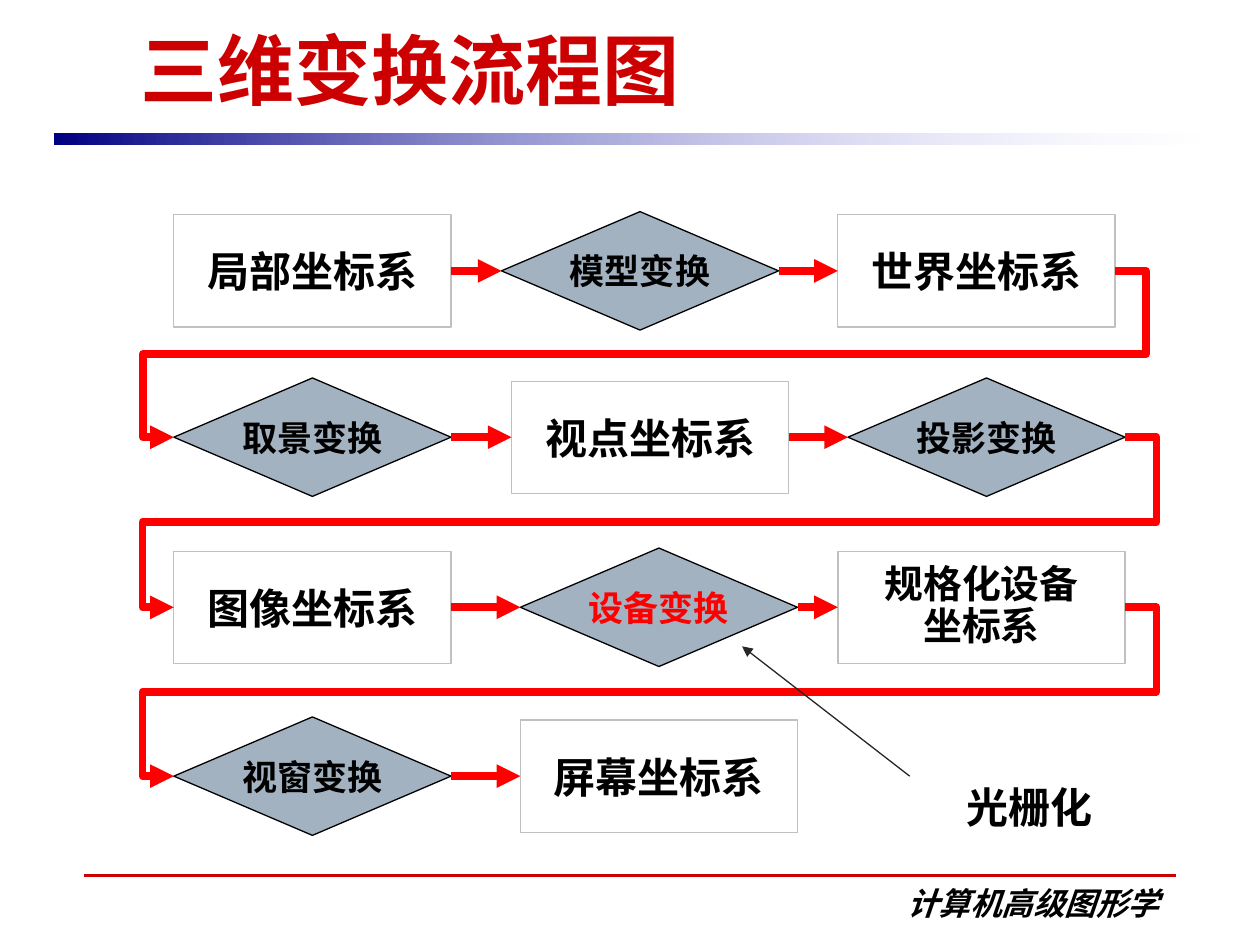
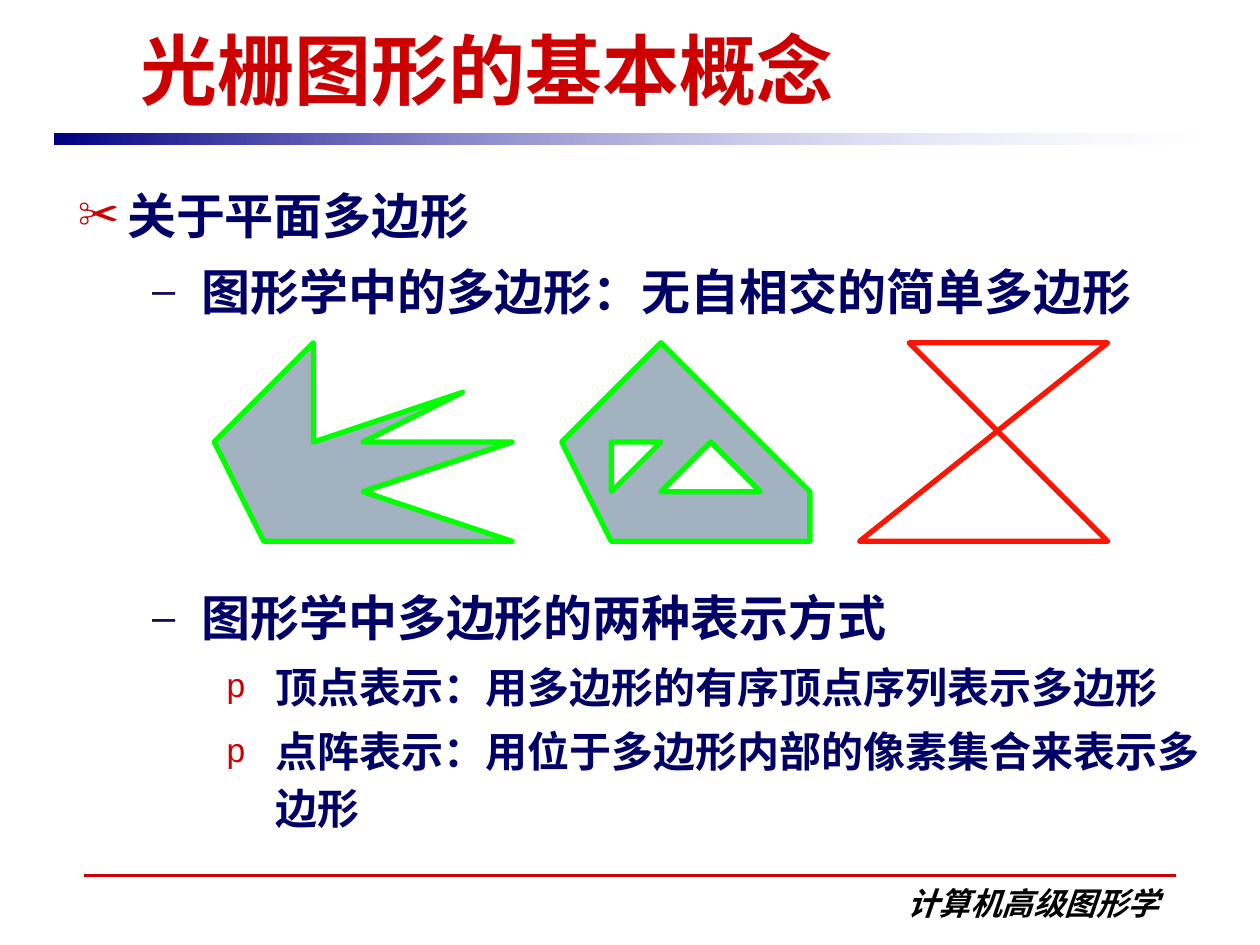
"""Build two slides on 3D transformation flow and raster polygons."""
from lxml import etree
from pptx import Presentation
from pptx.dml.color import RGBColor
from pptx.enum.shapes import MSO_CONNECTOR, MSO_SHAPE
from pptx.enum.text import MSO_ANCHOR, MSO_AUTO_SIZE, PP_ALIGN
from pptx.oxml import parse_xml
from pptx.oxml.ns import qn
from pptx.util import Inches, Pt

RECTANGLE, DECISION = MSO_SHAPE.RECTANGLE, MSO_SHAPE.FLOWCHART_DECISION
STRAIGHT, ELBOW = MSO_CONNECTOR.STRAIGHT, MSO_CONNECTOR.ELBOW
TOP, MIDDLE, BOTTOM = MSO_ANCHOR.TOP, MSO_ANCHOR.MIDDLE, MSO_ANCHOR.BOTTOM
LEFT, CENTER, RIGHT = PP_ALIGN.LEFT, PP_ALIGN.CENTER, PP_ALIGN.RIGHT
GROW = MSO_AUTO_SIZE.SHAPE_TO_FIT_TEXT

SERIF, SANS, CHINESE = "Times New Roman", "Arial", "Noto Sans CJK SC"
DEEP_RED, RED, BLACK, WHITE = "CC0000", "FF0000", "000000", "FFFFFF"
NAVY, STEEL, SILVER, GREEN = "000066", "A3B2C1", "C0C0C0", "00FF00"
NAMESPACE = 'xmlns:a="http://schemas.openxmlformats.org/drawingml/2006/main"'
WIDTH, HEIGHT = 10, 7.5


def colour(value):
    return RGBColor.from_string(value)


def write(text_frame, text, size, font, value, align):
    text_frame.text = text
    for paragraph in text_frame.paragraphs:
        paragraph.alignment = align
        for run in paragraph.runs:
            run.font.name, run.font.size, run.font.bold = font, Pt(size), True
            run.font.color.rgb = colour(value)
            east_asian = etree.SubElement(run._r.get_or_add_rPr(), qn("a:ea"))
            east_asian.set("typeface", CHINESE)


presentation = Presentation()
presentation.slide_width, presentation.slide_height = Inches(WIDTH), Inches(HEIGHT)
blank = presentation.slide_layouts[6]
flow_slide = presentation.slides.add_slide(blank)
polygon_slide = presentation.slides.add_slide(blank)

labels = [(flow_slide, "光栅化", (7.57, 6.15, 1.2, 0.5), 24, SANS, BLACK, LEFT, TOP)]
connectors = []
for slide, title in ((flow_slide, "三维变换流程图"), (polygon_slide, "光栅图形的基本概念")):
    slide.background.fill.solid()
    slide.background.fill.fore_color.rgb = colour(WHITE)
    band = slide.shapes.add_shape(
        RECTANGLE, Inches(0.43), Inches(1.06), Inches(9.14), Inches(0.09))
    band.shadow.inherit = False
    band.line.fill.background()
    band.fill.background()
    no_fill = band._element.spPr.find(qn("a:noFill"))
    no_fill.getparent().replace(no_fill, parse_xml(
        f'<a:gradFill {NAMESPACE} rotWithShape="1"><a:gsLst>'
        '<a:gs pos="0"><a:srgbClr val="000082"/></a:gs>'
        '<a:gs pos="100000"><a:srgbClr val="CCCCFF"><a:alpha val="0"/></a:srgbClr></a:gs>'
        '</a:gsLst><a:lin ang="0" scaled="1"/></a:gradFill>'))
    connectors.append((slide, STRAIGHT, (0.67, 6.95), (9.33, 6.95), DEEP_RED, 1.75, False))
    labels.append((slide, title, (1.02, 0.13, 8.35, 0.83), 44, SERIF, DEEP_RED, LEFT, BOTTOM))
    labels.append((slide, "计算机高级图形学", (6.58, 6.97, 2.72, 0.4), 18, CHINESE,
                   BLACK, RIGHT, TOP))

for slide, text, box, size, font, value, align, anchor in labels:
    text_frame = slide.shapes.add_textbox(*map(Inches, box)).text_frame
    text_frame.word_wrap = True
    text_frame.auto_size = GROW
    text_frame.vertical_anchor = anchor
    write(text_frame, text, size, font, value, align)
    text_frame.paragraphs[0].runs[0].font.italic = align == RIGHT

ROW_CENTERS = [2.15, 3.47, 4.82, 6.16]
FIRST_LEFT, NODE_WIDTH, LEAD = 1.38, 2.2, 0.25
flow_rows = [
    [("局部坐标系", FIRST_LEFT), ("模型变换", 3.98), ("世界坐标系", 6.65)],
    [("取景变换", FIRST_LEFT), ("视点坐标系", 4.06), ("投影变换", 6.73)],
    [("图像坐标系", FIRST_LEFT), ("设备变换", 4.13), ("规格化设备\n坐标系", 6.65)],
    [("视窗变换", FIRST_LEFT), ("屏幕坐标系", 4.13)],
]
for row, (center, nodes) in enumerate(zip(ROW_CENTERS, flow_rows)):
    previous_right = None
    for text, left in nodes:
        is_transform = text.endswith("变换")
        two_lines = "\n" in text
        width = 2.28 if two_lines else NODE_WIDTH
        height = 0.94 if is_transform else 0.89
        node = flow_slide.shapes.add_shape(
            DECISION if is_transform else RECTANGLE,
            Inches(left), Inches(center - height / 2), Inches(width), Inches(height))
        node.shadow.inherit = False
        node.line.width = Pt(0.75)
        node.line.color.rgb = colour(BLACK if is_transform else SILVER)
        if is_transform:
            node.fill.solid()
            node.fill.fore_color.rgb = colour(STEEL)
        else:
            node.fill.background()
        text_frame = node.text_frame
        text_frame.margin_left = text_frame.margin_right = 0
        text_frame.word_wrap = not is_transform
        text_frame.vertical_anchor = MIDDLE
        size = 20 if is_transform else 22.2 if two_lines else 24
        write(text_frame, text, size, SANS if is_transform else SERIF,
              RED if text == "设备变换" else BLACK, CENTER)
        if two_lines:
            for paragraph in text_frame.paragraphs:
                paragraph.line_spacing = 0.9
        if previous_right:
            connectors.append((flow_slide, STRAIGHT, (previous_right, center),
                               (left, center), RED, 4.5, True))
        previous_right = left + width
    if row + 1 < len(flow_rows):
        connectors.append((flow_slide, ELBOW, (previous_right, center),
                           (FIRST_LEFT, ROW_CENTERS[row + 1]), RED, 4.5, True))
connectors.append((flow_slide, STRAIGHT, (7.22, 6.16), (5.89, 5.13), "262626", 0.75, True))

for slide, kind, begin, end, value, weight, has_head in connectors:
    connector = slide.shapes.add_connector(kind, *map(Inches, begin + end))
    connector.line.color.rgb = colour(value)
    connector.line.width = Pt(weight)
    properties = connector._element.spPr
    if has_head:
        etree.SubElement(properties.find(qn("a:ln")), qn("a:tailEnd")).set("type", "triangle")
    etree.SubElement(properties, qn("a:effectLst"))
    if kind == ELBOW:
        overshoot = round(LEAD / (begin[0] - end[0]) * 100000)
        geometry = properties.find(qn("a:prstGeom"))
        geometry.set("prst", "bentConnector5")
        guides = geometry.find(qn("a:avLst"))
        for number, amount in enumerate((-overshoot, 50000, 100000 + overshoot), 1):
            guide = etree.SubElement(guides, qn("a:gd"))
            guide.set("name", f"adj{number}")
            guide.set("fmla", f"val {amount}")

LEVELS = [("✂", DEEP_RED, 85, 0.39, 28, 36.5), ("–", "140C52", 85, 0.98, 28, 36.5),
          ("p", DEEP_RED, 80, 1.57, 24, 32.5)]
outline = [
    (0, 0, "关于平面多边形"),
    (1, 7, "图形学中的多边形：无自相交的简单多边形"),
    (1, 150, "图形学中多边形的两种表示方式"),
    (2, 4.6, "顶点表示：用多边形的有序顶点序列表示多边形"),
    (2, 4.6, "点阵表示：用位于多边形内部的像素集合来表示多边形"),
]
body = polygon_slide.shapes.add_textbox(
    Inches(0.52), Inches(1.38), Inches(9.11), Inches(5.27)).text_frame
body.word_wrap = True
write(body, "\n".join(text for _, _, text in outline), 28, SERIF, NAVY, LEFT)
for paragraph, (level, space, _) in zip(body.paragraphs, outline):
    bullet, bullet_colour, percent, indent, size, spacing = LEVELS[level]
    properties = paragraph._p.get_or_add_pPr()
    properties.set("marL", str(Inches(indent)))
    properties.set("indent", str(-Inches(0.39)))
    for markup in (f'<a:buClr {NAMESPACE}><a:srgbClr val="{bullet_colour}"/></a:buClr>',
                   f'<a:buSzPct {NAMESPACE} val="{percent * 1000}"/>',
                   f'<a:buFont {NAMESPACE} typeface="{SANS}"/>',
                   f'<a:buChar {NAMESPACE} char="{bullet}"/>'):
        properties.append(parse_xml(markup))
    paragraph.level = level
    paragraph.line_spacing = Pt(spacing)
    paragraph.space_before = Pt(space)
    paragraph.runs[0].font.size = Pt(size)

CELL = 1.97 / 5
polygons = [
    (STEEL, GREEN, [(2, 0), (0, 2), (1, 4), (6, 4), (3, 3), (6, 2), (3, 2), (5, 1), (2, 2)]),
    (STEEL, GREEN, [(9, 0), (7, 2), (8, 4), (12, 4), (12, 3)]),
    (WHITE, GREEN, [(9, 2), (8, 2), (8, 3)]),
    (WHITE, GREEN, [(10, 2), (9, 3), (11, 3)]),
    (None, "FD1503", [(14, 0), (18, 0), (13, 4), (18, 4)]),
]
for fill, outline_colour, points in polygons:
    builder = polygon_slide.shapes.build_freeform(*points[0], scale=Inches(CELL))
    builder.add_line_segments(points[1:], close=True)
    polygon = builder.convert_to_shape(Inches(1.7), Inches(2.72))
    polygon.shadow.inherit = False
    polygon.line.color.rgb = colour(outline_colour)
    polygon.line.width = Pt(3)
    if fill:
        polygon.fill.solid()
        polygon.fill.fore_color.rgb = colour(fill)
    else:
        polygon.fill.background()

presentation.save("out.pptx")
